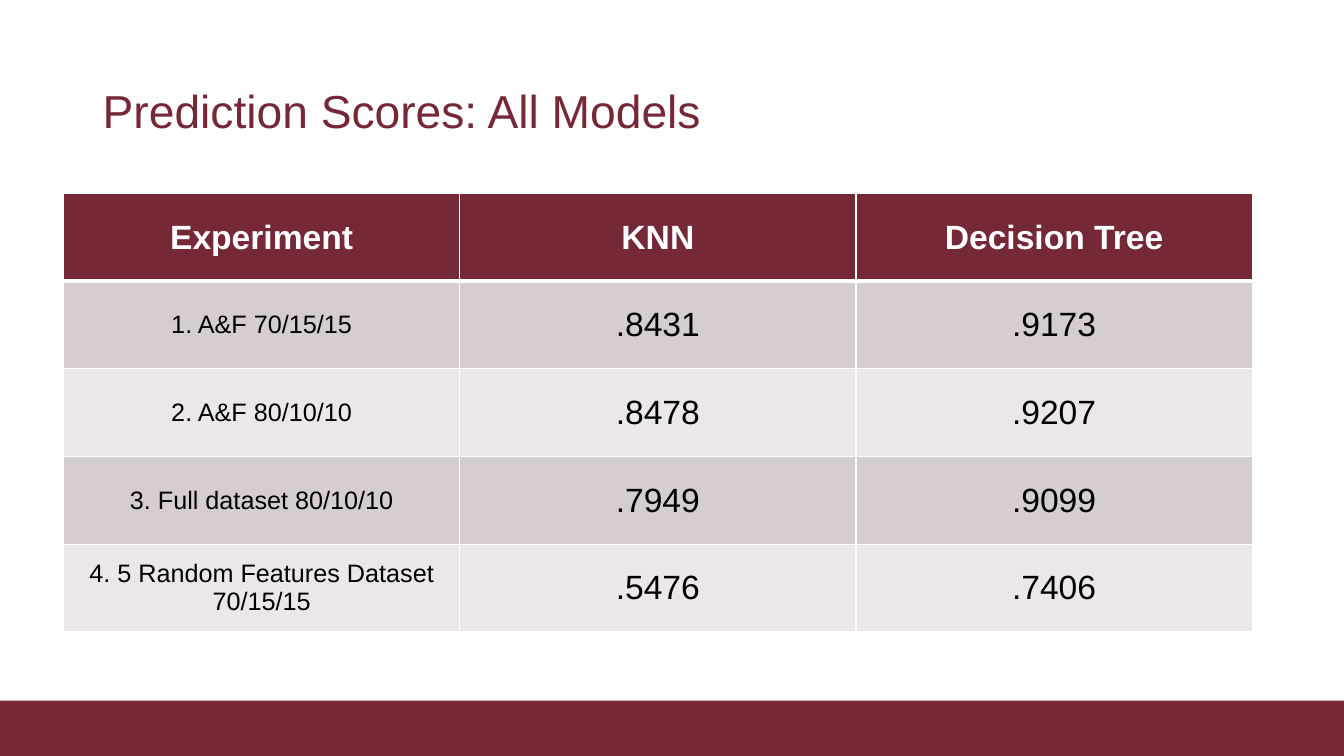
from dataclasses import dataclass

from lxml.etree import SubElement
from pptx import Presentation
from pptx.dml.color import RGBColor
from pptx.enum.shapes import MSO_SHAPE
from pptx.enum.text import MSO_ANCHOR, PP_ALIGN
from pptx.oxml.ns import qn
from pptx.slide import Slide
from pptx.table import _Cell
from pptx.text.text import _Paragraph
from pptx.util import Inches, Pt

COLORS = {
    "maroon": "752836",
    "dark_band": "D6CDCE",
    "light_band": "ECE8E8",
    "white": "FFFFFF",
    "black": "000000",
}
FONT = "Arial"
COLUMN_WIDTH = 3.93
ROW_HEIGHT = 0.87
HEADINGS = ("Experiment", "KNN", "Decision Tree")


@dataclass(frozen=True)
class Score:
    experiment: str
    knn: str
    decision_tree: str


@dataclass(frozen=True)
class CellStyle:
    size: int
    color: str
    fill: str
    bold: bool = False
    top: int = 1
    bottom: int = 1


SCORES = (
    Score("1. A&F 70/15/15", ".8431", ".9173"),
    Score("2. A&F 80/10/10", ".8478", ".9207"),
    Score("3. Full dataset 80/10/10", ".7949", ".9099"),
    Score("4. 5 Random Features Dataset 70/15/15", ".5476", ".7406"),
)


def rgb(name: str) -> RGBColor:
    return RGBColor.from_string(COLORS[name])


def add_span(para: _Paragraph, text: str, size: int, color: str, bold: bool = False) -> None:
    span = para.add_run()
    span.text = text
    span.font.name = FONT
    span.font.size = Pt(size)
    span.font.bold = bold
    span.font.color.rgb = rgb(color)


def add_border(cell: _Cell, side: str, width: int) -> None:
    properties = cell._tc.get_or_add_tcPr()
    line = SubElement(properties, qn(f"a:ln{side}"), w=str(Pt(width)))
    fill = SubElement(line, qn("a:solidFill"))
    SubElement(fill, qn("a:srgbClr"), val=COLORS["white"])


def fill_cell(cell: _Cell, text: str, style: CellStyle) -> None:
    for side, width in (("L", 1), ("R", 1), ("T", style.top), ("B", style.bottom)):
        add_border(cell, side, width)
    cell.fill.solid()
    cell.fill.fore_color.rgb = rgb(style.fill)
    cell.vertical_anchor = MSO_ANCHOR.MIDDLE
    para = cell.text_frame.paragraphs[0]
    para.alignment = PP_ALIGN.CENTER
    add_span(para, text, style.size, style.color, style.bold)


def add_footer_band(page: Slide) -> None:
    band = page.shapes.add_shape(
        MSO_SHAPE.RECTANGLE, Inches(0), Inches(6.95), Inches(13.33), Inches(0.55)
    )
    band.shadow.inherit = False
    band.fill.solid()
    band.fill.fore_color.rgb = rgb("maroon")
    band.line.fill.background()


def add_title(page: Slide, text: str) -> None:
    box = page.shapes.add_textbox(Inches(0.92), Inches(0.4), Inches(11.5), Inches(1.45))
    box.text_frame.word_wrap = True
    box.text_frame.vertical_anchor = MSO_ANCHOR.MIDDLE
    para = box.text_frame.paragraphs[0]
    para.line_spacing = 0.9
    add_span(para, text, 33, "maroon")


def add_score_table(page: Slide) -> None:
    row_count, column_count = len(SCORES) + 1, len(HEADINGS)
    table = page.shapes.add_table(
        row_count, column_count, Inches(0.63), Inches(1.92),
        Inches(COLUMN_WIDTH * column_count), Inches(ROW_HEIGHT * row_count),
    ).table
    for column in table.columns:
        column.width = Inches(COLUMN_WIDTH)
    for row in table.rows:
        row.height = Inches(ROW_HEIGHT)

    heading_style = CellStyle(24, "white", "maroon", bold=True, bottom=3)
    for column_index, heading in enumerate(HEADINGS):
        fill_cell(table.cell(0, column_index), heading, heading_style)
    for row_index, score in enumerate(SCORES, start=1):
        band = "dark_band" if row_index % 2 else "light_band"
        top = 3 if row_index == 1 else 1
        entries = ((score.experiment, 18), (score.knn, 24), (score.decision_tree, 24))
        for column_index, (text, size) in enumerate(entries):
            style = CellStyle(size, "black", band, top=top)
            fill_cell(table.cell(row_index, column_index), text, style)


def main() -> None:
    deck = Presentation()
    deck.slide_width = Inches(13.33)
    deck.slide_height = Inches(7.5)
    page = deck.slides.add_slide(deck.slide_layouts[6])
    add_footer_band(page)
    add_title(page, "Prediction Scores: All Models")
    add_score_table(page)
    deck.save("out.pptx")


if __name__ == "__main__":
    main()
